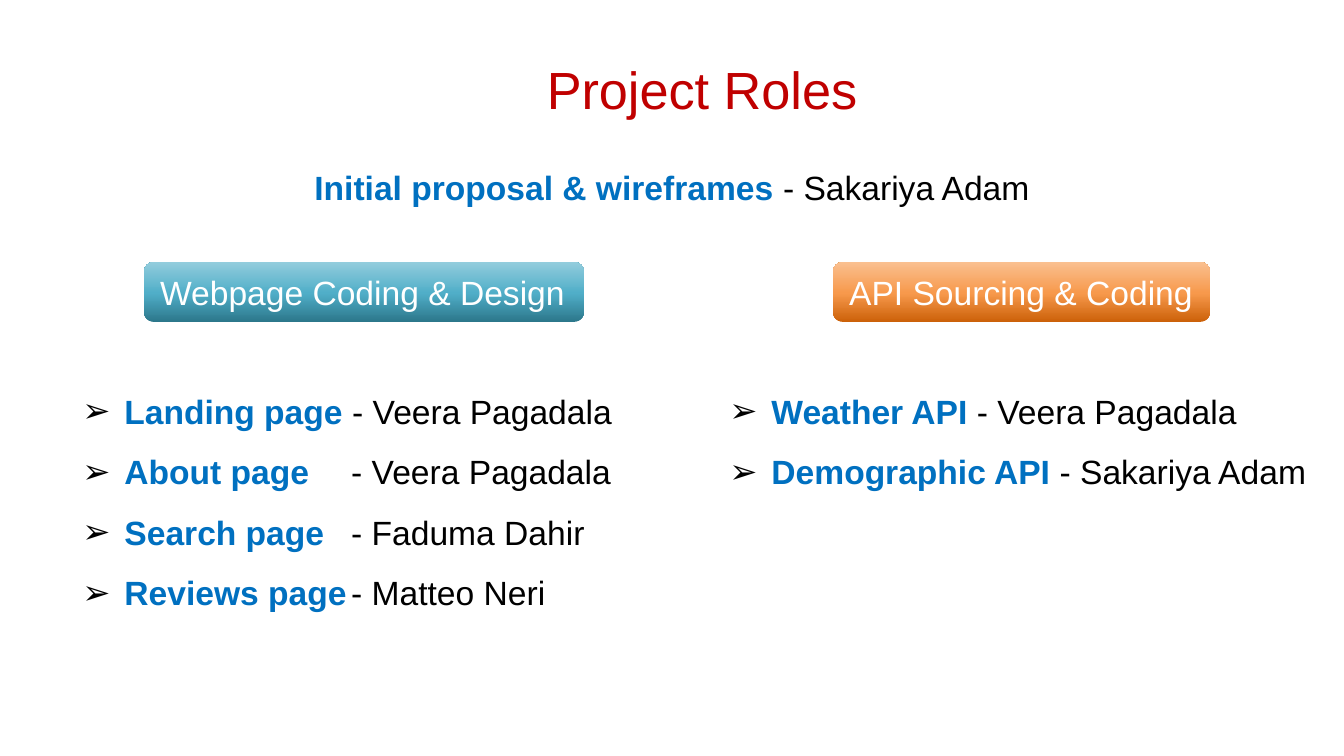
import copy

from pptx import Presentation, util as u
from pptx.dml.color import RGBColor
from pptx.enum import shapes, text
from pptx.oxml import parse_xml, ns

PX = u.Inches(10) / 1344
BLUE, BLACK = "0070C0", "000000"


def rgb(value):
    return RGBColor.from_string(value)


def add_role(paragraph, task, person):
    paragraph.font.size, paragraph.font.name = u.Pt(18), "Arial"
    for words, color, bold in ((task, BLUE, True), (f"- {person}", BLACK, False)):
        run = paragraph.add_run()
        run.text = words
        run.font.bold = bold
        run.font.color.rgb = rgb(color)


prs = Presentation()
prs.slide_width, prs.slide_height = round(1344 * PX), round(756 * PX)
slide = prs.slides.add_slide(prs.slide_layouts[3])
title, left_list, right_list = slide.placeholders[0], slide.placeholders[1], slide.placeholders[2]

# Title
title.left, title.top, title.width, title.height = [round(n * PX) for n in (347, 36, 710, 106)]
title.text_frame.text = "Project Roles"
title.text_frame.auto_size = text.MSO_AUTO_SIZE.NONE
heading = title.text_frame.paragraphs[0]
heading.alignment = text.PP_ALIGN.CENTER
heading.font.size, heading.font.name = u.Pt(28), "Arial"
heading.font.color.rgb = rgb("C00000")

# Shared first task
proposal = slide.shapes.add_textbox(*[round(n * PX) for n in (293, 160, 758, 54)]).text_frame
proposal.word_wrap = False
proposal.vertical_anchor = text.MSO_ANCHOR.MIDDLE
proposal.paragraphs[0].alignment = text.PP_ALIGN.CENTER
add_role(proposal.paragraphs[0], "Initial proposal & wireframes ", "Sakariya Adam")

# Team banners, shaded from dark at the bottom to light at the top
banners = [
    ("Webpage Coding & Design", 144, 440, ("2C778B", "50AEC8", "93CDDD")),
    ("API Sourcing & Coding", 833, 377, ("CC6109", "F7994C", "FAC090")),
]
for team, left, width, shades in banners:
    banner = slide.shapes.add_shape(
        shapes.MSO_SHAPE.ROUNDED_RECTANGLE, *[round(n * PX) for n in (left, 262, width, 60)])
    banner.shadow.inherit = False
    banner.line.fill.background()
    banner.fill.gradient()
    banner.fill.gradient_angle = 90
    stop_list = banner._element.spPr.find(".//" + ns.qn("a:gsLst"))
    stop_list.insert(1, copy.deepcopy(stop_list[0]))
    for stop, shade, position in zip(banner.fill.gradient_stops, shades, (0, 0.48, 1)):
        stop.color.rgb = rgb(shade)
        stop.position = position
    banner.text_frame.word_wrap = False
    label = banner.text_frame.paragraphs[0]
    label.text = team
    label.alignment = text.PP_ALIGN.LEFT
    label.font.size, label.font.name = u.Pt(18), "Arial"
    label.font.color.rgb = rgb("FFFFFF")

# Role lists
role_lists = [
    (left_list, (69, 364, 563, 250), [
        ("Landing page ", "Veera Pagadala"),
        ("About page \t", "Veera Pagadala"),
        ("Search page\t", "Faduma Dahir"),
        ("Reviews page\t", "Matteo Neri"),
    ]),
    (right_list, (716, 364, 613, 128), [
        ("Weather API ", "Veera Pagadala"),
        ("Demographic API ", "Sakariya Adam"),
    ]),
]
for role_list, box, roles in role_lists:
    role_list.left, role_list.top, role_list.width, role_list.height = [round(n * PX) for n in box]
    frame = role_list.text_frame
    frame.word_wrap = False
    frame.auto_size = text.MSO_AUTO_SIZE.NONE
    frame.vertical_anchor = text.MSO_ANCHOR.TOP
    for i, (task, person) in enumerate(roles):
        paragraph = frame.add_paragraph() if i else frame.paragraphs[0]
        paragraph.line_spacing = 1.5
        paragraph.space_before = u.Pt(0)
        add_role(paragraph, task, person)
        # Arrow bullet with a hanging indent
        properties = paragraph._p.get_or_add_pPr()
        properties.set("marL", str(round(42 * PX)))
        properties.set("indent", str(round(-42 * PX)))
        bullet_parts = (
            f'<a:buClr {ns.nsdecls("a")}><a:srgbClr val="{BLACK}"/></a:buClr>',
            f'<a:buFont {ns.nsdecls("a")} typeface="Arial"/>',
            f'<a:buChar {ns.nsdecls("a")} char="➢"/>',
        )
        default_font = properties.find(ns.qn("a:defRPr"))
        for part in bullet_parts:
            default_font.addprevious(parse_xml(part))

prs.save("out.pptx")
